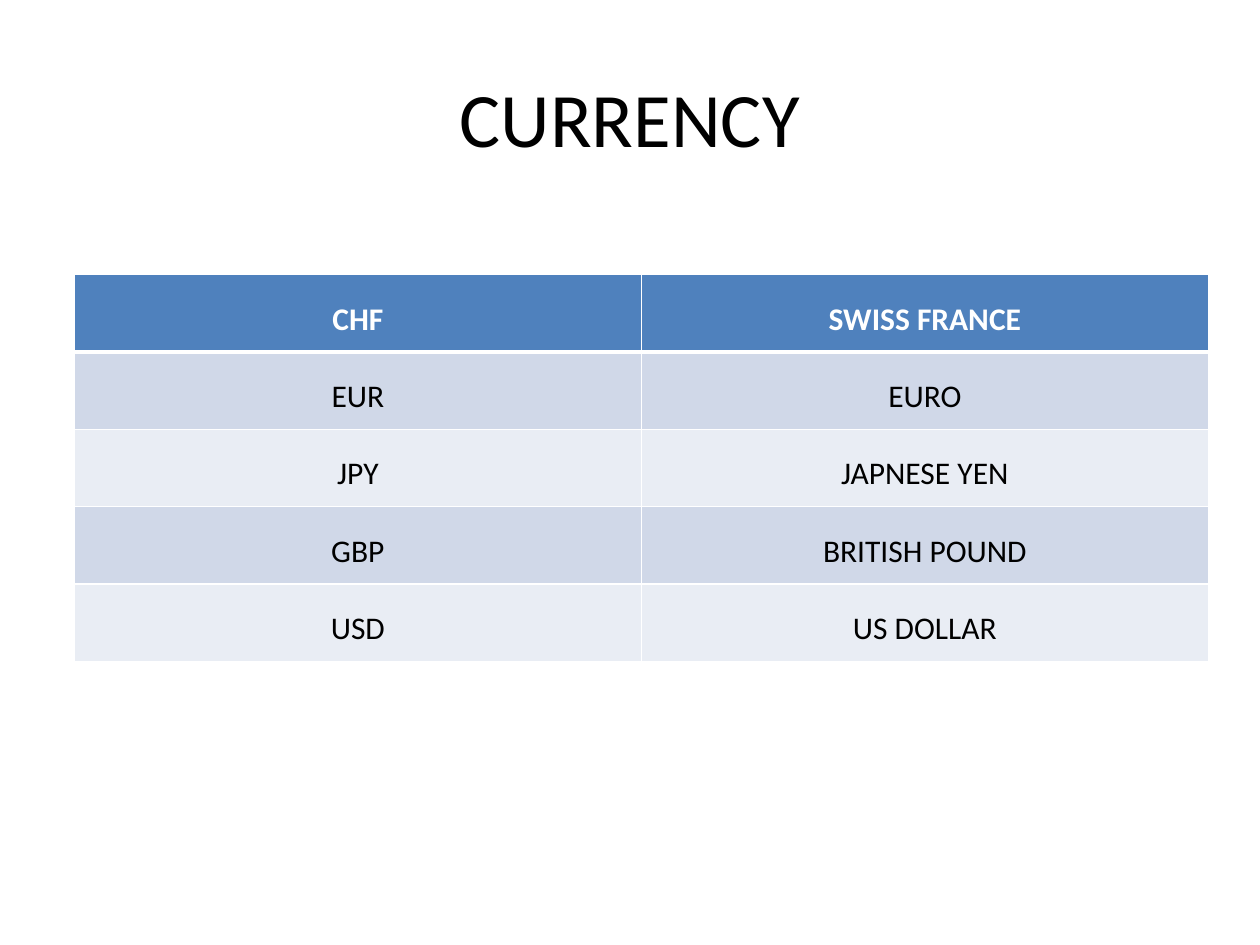
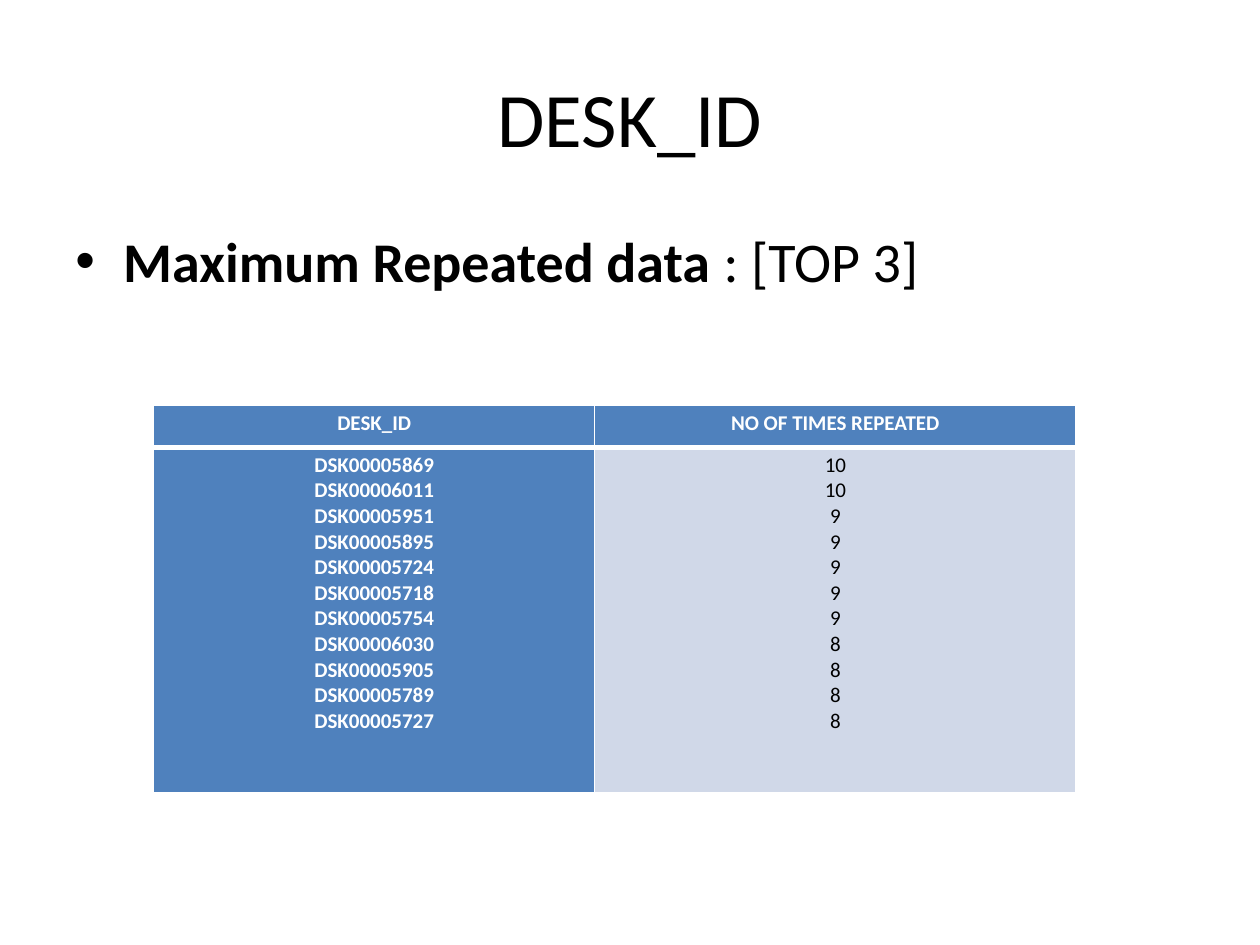
"""Build two slides that list currency codes and the most repeated desk ids."""
from dataclasses import dataclass

import pptx
import pptx.dml.color
import pptx.enum.text
import pptx.oxml
import pptx.oxml.ns
import pptx.util

SCALE = 9144
FONT = "Calibri"
HUES = {"white": "FFFFFF", "black": "000000", "blue": "4F81BD",
        "band": "D0D8E8", "pale": "E9EDF4"}
MID = pptx.enum.text.PP_ALIGN.CENTER


@dataclass(frozen=True)
class Box:
    """Hold a place on the slide in px."""
    left: int
    top: int
    width: int
    height: int

    def place(self) -> tuple:
        """Return the four lengths in EMU."""
        return tuple(px(n) for n in (self.left, self.top, self.width, self.height))


@dataclass(frozen=True)
class Grid:
    """Describe a table with a header row; empty heights mean equal rows."""
    box: Box
    cols: tuple
    heights: tuple
    rows: tuple
    size: int
    space: float
    inset: tuple
    key_col: bool


TITLE = Box(50, 30, 900, 125)
BODY = Box(50, 175, 900, 70)

MONEY = Grid(
    Box(59, 218, 900, 307), (450, 450), (),
    (("CHF", "SWISS FRANCE"), ("EUR", "EURO"), ("JPY", "JAPNESE YEN"),
     ("GBP", "BRITISH POUND"), ("USD", "US DOLLAR")),
    18, 1.5, (10, 5), False)

COUNTS = (("DSK00005869", 10), ("DSK00006011", 10), ("DSK00005951", 9),
          ("DSK00005895", 9), ("DSK00005724", 9), ("DSK00005718", 9),
          ("DSK00005754", 9), ("DSK00006030", 8), ("DSK00005905", 8),
          ("DSK00005789", 8), ("DSK00005727", 8))
DESKS = Grid(
    Box(122, 322, 732, 307), (350, 382), (33, 274),
    (("DESK_ID", "NO OF TIMES REPEATED"),
     tuple("\n".join(str(item) for item in col) for col in zip(*COUNTS))),
    12, 1.0, (4, 4), True)


def px(count: int) -> int:
    """Turn px into EMU."""
    return pptx.util.Emu(count * SCALE)


def rgb(name: str) -> pptx.dml.color.RGBColor:
    """Look up a colour by name."""
    return pptx.dml.color.RGBColor.from_string(HUES[name])


def style(run, size: int, hue: str, bold: bool = False) -> None:
    """Format one run."""
    run.font.name = FONT
    run.font.size = pptx.util.Pt(size)
    run.font.bold = bold
    run.font.color.rgb = rgb(hue)


def add_slide(deck, title: str):
    """Add a slide with its title."""
    slide = deck.slides.add_slide(deck.slide_layouts[5])
    head = slide.shapes.title
    head.left, head.top, head.width, head.height = TITLE.place()
    head.text_frame.text = title
    head.text_frame.vertical_anchor = pptx.enum.text.MSO_ANCHOR.MIDDLE
    para = head.text_frame.paragraphs[0]
    para.alignment = MID
    style(para.runs[0], 44, "black")
    return slide


def add_point(slide, lead: str, rest: str) -> None:
    """Add a bullet line that opens in bold."""
    frame = slide.shapes.add_textbox(*BODY.place()).text_frame
    frame.word_wrap = True
    para = frame.paragraphs[0]
    para.space_before = pptx.util.Pt(6.4)
    for text, bold in ((lead, True), (rest, False)):
        run = para.add_run()
        run.text = text
        style(run, 32, "black", bold)
    props = para._p.get_or_add_pPr()
    props.set("marL", str(px(38)))
    props.set("indent", str(px(-38)))
    space = pptx.oxml.ns.nsdecls("a")
    props.append(pptx.oxml.parse_xml(f'<a:buFont {space} typeface="Arial"/>'))
    props.append(pptx.oxml.parse_xml(f'<a:buChar {space} char="•"/>'))


def add_edge(cell, side: str, width: int) -> None:
    """Draw one white cell border."""
    cell._tc.get_or_add_tcPr().append(pptx.oxml.parse_xml(
        f'<a:ln{side} {pptx.oxml.ns.nsdecls("a")} w="{pptx.util.Pt(width)}">'
        f'<a:solidFill><a:srgbClr val="{HUES["white"]}"/></a:solidFill></a:ln{side}>'))


def fill_cell(cell, grid: Grid, row: int, col: int) -> None:
    """Set the text, borders and fill of one cell."""
    strong = row == 0 or (grid.key_col and col == 0)
    cell.margin_left = cell.margin_right = px(grid.inset[0])
    cell.margin_top = cell.margin_bottom = px(grid.inset[1])
    cell.text_frame.text = grid.rows[row][col]
    for para in cell.text_frame.paragraphs:
        para.alignment = MID
        para.line_spacing = grid.space
        style(para.runs[0], grid.size, "white" if strong else "black", strong)
    heavy = {(0, "B"), (1, "T")}
    for side in "LRTB":
        add_edge(cell, side, 3 if (row, side) in heavy else 1)
    cell.fill.solid()
    cell.fill.fore_color.rgb = rgb("blue" if strong else ("pale", "band")[row % 2])


def add_grid(slide, grid: Grid) -> None:
    """Add a table."""
    table = slide.shapes.add_table(
        len(grid.rows), len(grid.cols), *grid.box.place()).table
    for col, width in zip(table.columns, grid.cols):
        col.width = px(width)
    for row, height in zip(table.rows, grid.heights):
        row.height = px(height)
    for row in range(len(grid.rows)):
        for col in range(len(grid.cols)):
            fill_cell(table.cell(row, col), grid, row, col)


def main() -> None:
    """Build and save the deck."""
    deck = pptx.Presentation()
    deck.slide_width, deck.slide_height = px(1000), px(750)
    add_grid(add_slide(deck, "CURRENCY"), MONEY)
    slide = add_slide(deck, "DESK_ID")
    add_point(slide, "Maximum Repeated data", " : [TOP 3]")
    add_grid(slide, DESKS)
    deck.save("out.pptx")


if __name__ == "__main__":
    main()
